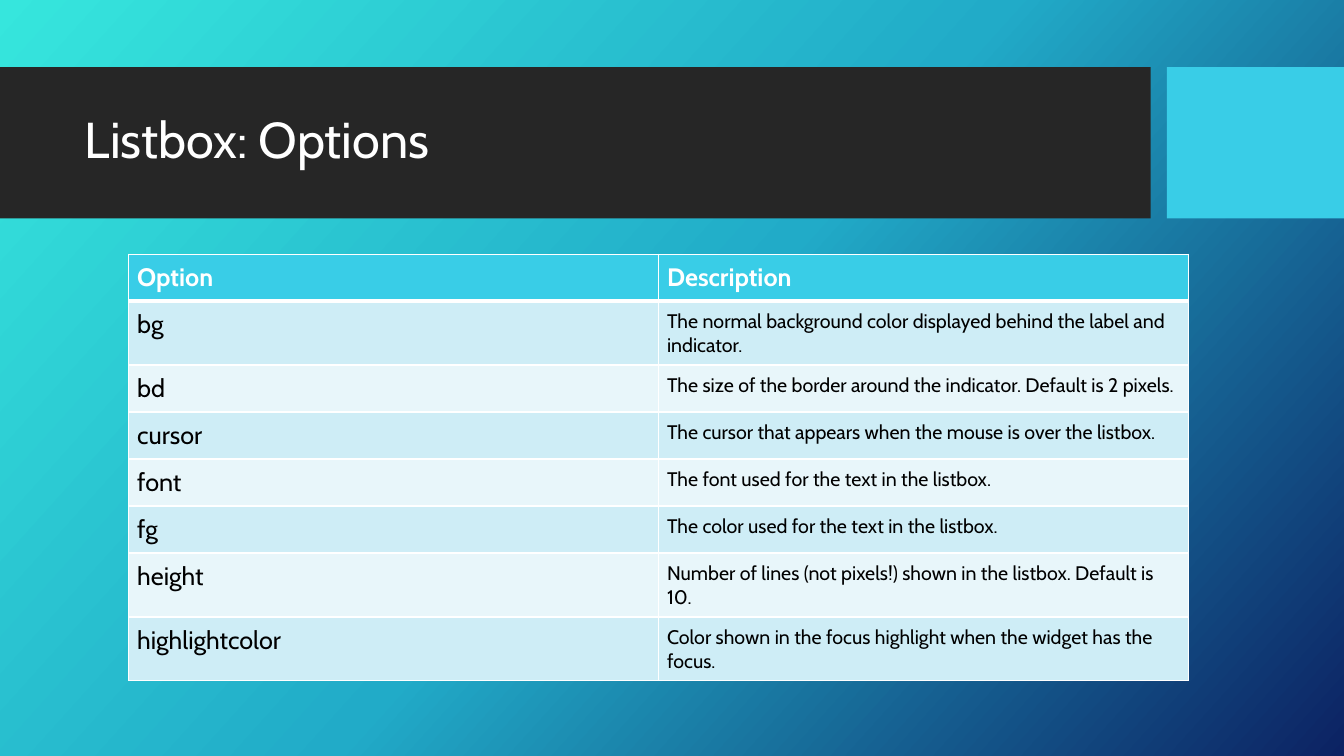
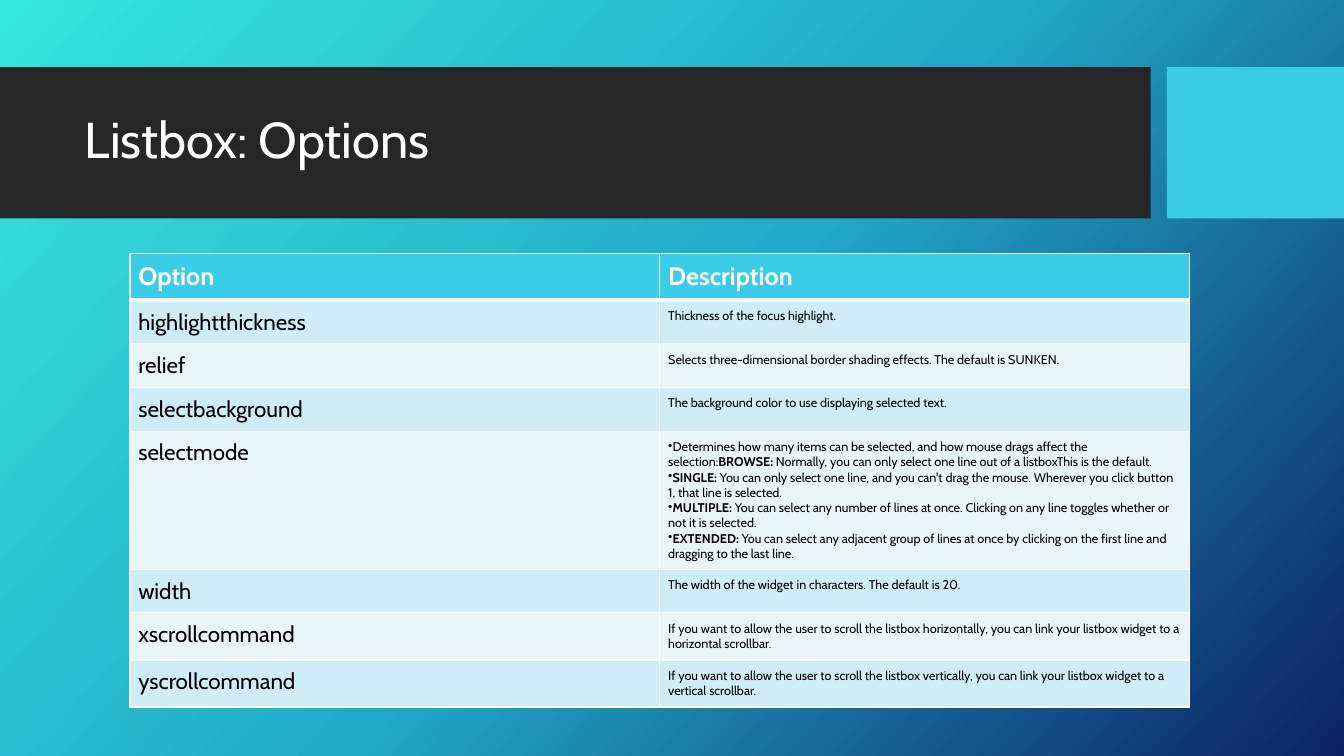
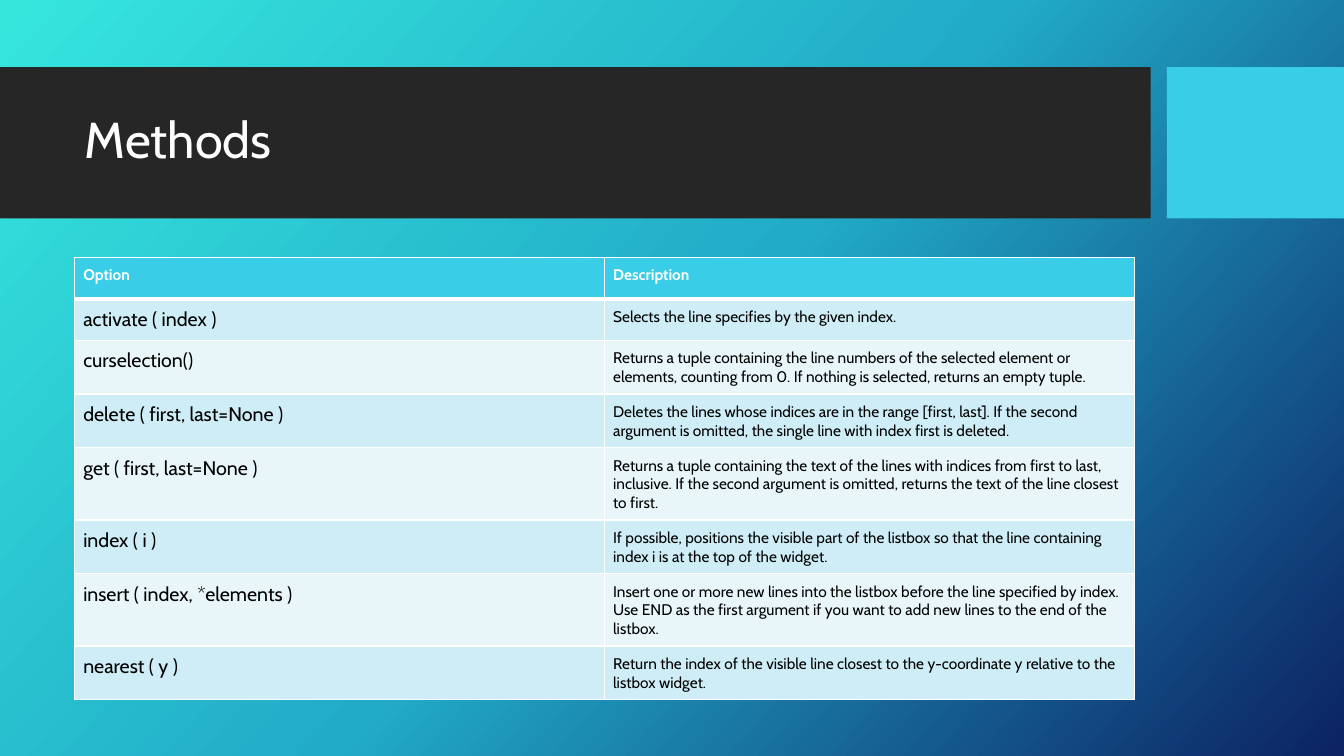
from dataclasses import dataclass

from lxml.etree import SubElement as Sub
from pptx import Presentation
from pptx.dml.color import RGBColor as RGB
from pptx.enum.shapes import MSO_SHAPE as Shape
from pptx.enum.text import MSO_ANCHOR as Anchor
from pptx.oxml.ns import qn
from pptx.util import Pt


@dataclass(frozen=True)
class Theme:
    font: str = "Cabin"
    dark: str = "262626"
    cyan: str = "39CDE7"
    white: str = "FFFFFF"
    black: str = "000000"
    bands: tuple = ("CEEDF6", "E8F6FA")
    grad: tuple = ((0, "36E6DD"), (50, "21ABC8"), (100, "0C2263"))
    angle: int = 42
    title: int = 36
    thin: int = 1
    thick: int = 3


T = Theme()
WIDE, HIGH = 960, 540
ROW, PAD = 29.5, 6

# Each deck entry: title, table corner, sizes (head, name, note), rows
DECK = [
    ("Listbox: Options", (92, 181.5), (18, 18, 14), [
        ("bg", "The normal background color displayed behind the label and indicator."),
        ("bd", "The size of the border around the indicator. Default is 2 pixels."),
        ("cursor", "The cursor that appears when the mouse is over the listbox."),
        ("font", "The font used for the text in the listbox."),
        ("fg", "The color used for the text in the listbox."),
        ("height", "Number of lines (not pixels!) shown in the listbox. Default is 10."),
        ("highlightcolor", "Color shown in the focus highlight when the widget has the focus."),
    ]),
    ("Listbox: Options", (92.8, 180.8), (18, 16, 9), [
        ("highlightthickness", "Thickness of the focus highlight."),
        ("relief", "Selects three-dimensional border shading effects. The default is SUNKEN."),
        ("selectbackground", "The background color to use displaying selected text."),
        # In a list, each paragraph holds plain and bold runs in turn
        ("selectmode", [
            ("Determines how many items can be selected, and how mouse drags affect the selection:",
             "BROWSE:",
             " Normally, you can only select one line out of a listboxThis is the default."),
            ("", "SINGLE:", " You can only select one line, and you can't drag the mouse. "
             "Wherever you click button 1, that line is selected."),
            ("", "MULTIPLE:", " You can select any number of lines at once. "
             "Clicking on any line toggles whether or not it is selected."),
            ("", "EXTENDED:", " You can select any adjacent group of lines at once "
             "by clicking on the first line and dragging to the last line."),
        ]),
        ("width", "The width of the widget in characters. The default is 20."),
        ("xscrollcommand", "If you want to allow the user to scroll the listbox horizontally, "
         "you can link your listbox widget to a horizontal scrollbar."),
        ("yscrollcommand", "If you want to allow the user to scroll the listbox vertically, "
         "you can link your listbox widget to a vertical scrollbar."),
    ]),
    ("Methods", (53.5, 184), (11, 14, 11), [
        ("activate ( index )", "Selects the line specifies by the given index."),
        ("curselection()", "Returns a tuple containing the line numbers of the selected element "
         "or elements, counting from 0. If nothing is selected, returns an empty tuple."),
        ("delete ( first, last=None )", "Deletes the lines whose indices are in the range "
         "[first, last]. If the second argument is omitted, the single line with index first "
         "is deleted."),
        ("get ( first, last=None )", "Returns a tuple containing the text of the lines with "
         "indices from first to last, inclusive. If the second argument is omitted, returns "
         "the text of the line closest to first."),
        ("index ( i )", "If possible, positions the visible part of the listbox so that the "
         "line containing index i is at the top of the widget."),
        ("insert ( index, *elements )", "Insert one or more new lines into the listbox before "
         "the line specified by index. Use END as the first argument if you want to add new "
         "lines to the end of the listbox."),
        ("nearest ( y )", "Return the index of the visible line closest to the y-coordinate y "
         "relative to the listbox widget."),
    ]),
]


def write(frame, text, size, color=T.black, bold=False, space=None):
    """Write a string, or a list of bulleted paragraphs."""
    frame.word_wrap = True
    listed = not isinstance(text, str)
    for i, parts in enumerate(text if listed else [(text,)]):
        para = frame.add_paragraph() if i else frame.paragraphs[0]
        if space:
            para.line_spacing = space
        if listed:
            props = para._p.get_or_add_pPr()
            props.set("marL", "0")
            props.set("indent", "0")
            Sub(props, qn("a:buChar"), char="•")
        for j, part in enumerate(parts):
            if part:
                run = para.add_run()
                run.text = part
                font = run.font
                font.name, font.size = T.font, Pt(size)
                font.bold = bold or j % 2 == 1
                font.color.rgb = RGB.from_string(color)


def edge(cell, **widths):
    """Draw white cell borders; sides come in the order L, R, T, B."""
    props = cell._tc.get_or_add_tcPr()
    for side, width in widths.items():
        line = Sub(props, qn("a:ln" + side), w=str(Pt(width)))
        Sub(Sub(line, qn("a:solidFill")), qn("a:srgbClr"), val=T.white)


def paint(master):
    """Give the master its three-stop gradient."""
    fill = master.background.fill
    fill.gradient()
    fill.gradient_angle = 360 - T.angle
    stops = master.element.find(".//" + qn("a:gsLst"))
    for stop in list(stops):
        stops.remove(stop)
    for pos, color in T.grad:
        stop = Sub(stops, qn("a:gs"), pos=str(pos * 1000))
        Sub(stop, qn("a:srgbClr"), val=color)


def block(slide, box, color):
    shape = slide.shapes.add_shape(Shape.RECTANGLE, *map(Pt, box))
    shape.shadow.inherit = False
    shape.fill.solid()
    shape.fill.fore_color.rgb = RGB.from_string(color)
    shape.line.fill.background()


def banner(slide, title, top=48, high=108, wide=822, gap=11.5):
    # Dark band, and the accent block that runs to the slide edge
    block(slide, (0, top, wide, high), T.dark)
    left = wide + gap
    block(slide, (left, top, WIDE - left, high), T.cyan)
    # Title
    box = slide.shapes.add_textbox(Pt(53.5), Pt(top + 11), Pt(757), Pt(85))
    box.text_frame.vertical_anchor = Anchor.MIDDLE
    write(box.text_frame, title, T.title, color=T.white, space=0.9)


def grid(slide, spot, sizes, rows, wide=757):
    """Place a two-column table; rows grow with their text."""
    head, *body = sizes
    data = [("Option", "Description"), *rows]
    table = slide.shapes.add_table(
        len(data), 2, *map(Pt, (*spot, wide, ROW * len(data)))).table
    table.first_row = table.horz_banding = False
    for r, row in enumerate(data):
        for c, text in enumerate(row):
            cell = table.cell(r, c)
            edge(cell, L=T.thin, R=T.thin,
                 T=T.thick if r == 1 else T.thin,
                 B=T.thick if r == 0 else T.thin)
            cell.margin_left = cell.margin_right = Pt(PAD)
            cell.margin_top = cell.margin_bottom = Pt(PAD)
            cell.fill.solid()
            shade = T.bands[(r - 1) % 2] if r else T.cyan
            cell.fill.fore_color.rgb = RGB.from_string(shade)
            if r:
                write(cell.text_frame, text, body[c])
            else:
                write(cell.text_frame, text, head, color=T.white, bold=True)


def main():
    deck = Presentation()
    deck.slide_width, deck.slide_height = Pt(WIDE), Pt(HIGH)
    paint(deck.slide_master)
    for title, spot, sizes, rows in DECK:
        slide = deck.slides.add_slide(deck.slide_layouts[6])
        banner(slide, title)
        grid(slide, spot, sizes, rows)
    deck.save("out.pptx")


if __name__ == "__main__":
    main()
